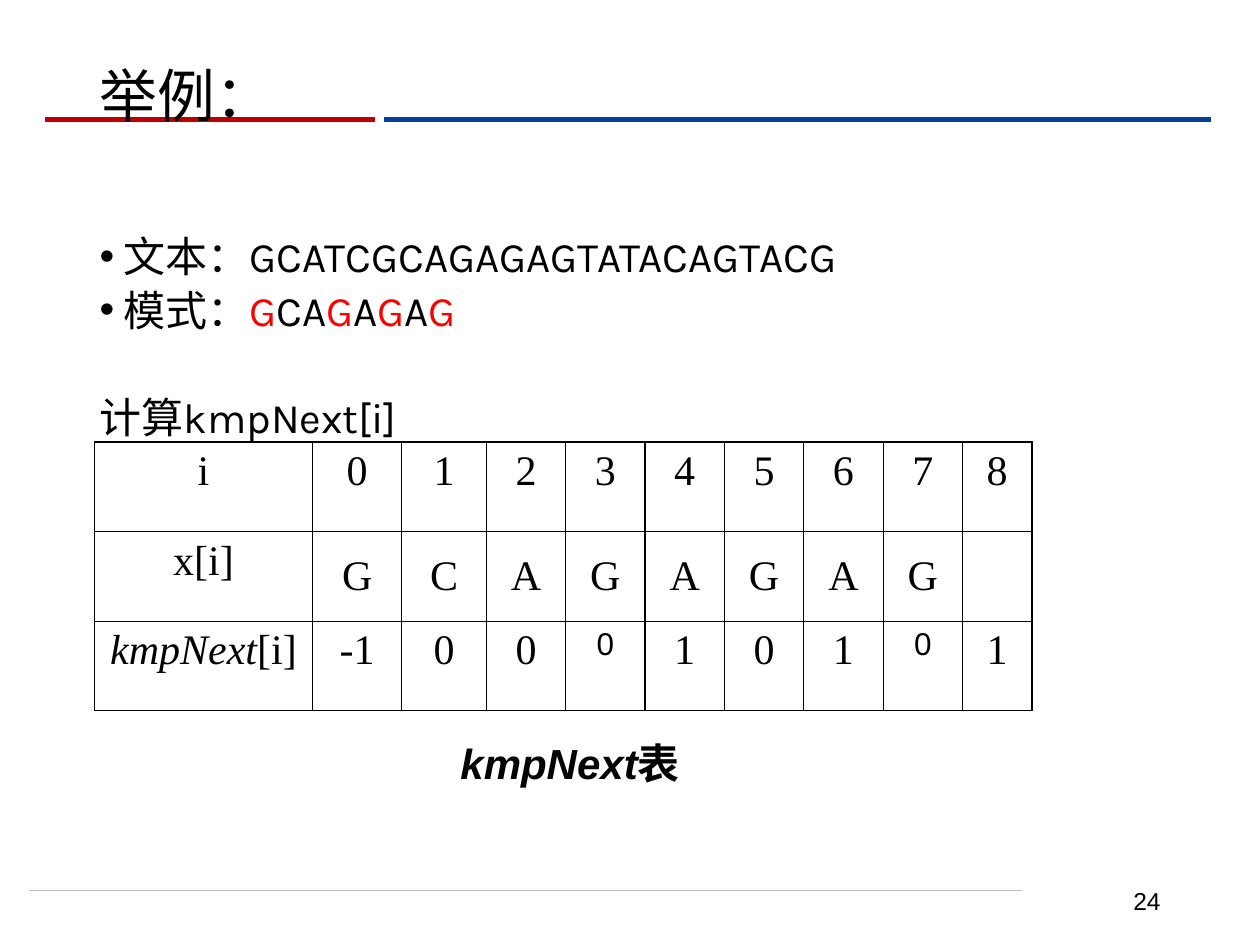
from lxml.etree import SubElement
from pptx import Presentation
from pptx.dml.color import RGBColor
from pptx.enum.shapes import MSO_CONNECTOR
from pptx.enum.text import MSO_ANCHOR as Anchor, MSO_AUTO_SIZE as AutoSize, PP_ALIGN as Align
from pptx.oxml.ns import qn
from pptx.util import Inches, Pt

COLORS = {"ink": "000000", "red": "C00000", "blue": "004299", "grey": "BFBFBF",
          "match": "FF0000", "caption": "030301"}
BODY, SERIF, SANS = "Karla", "Times New Roman", "Arial"
HEADER = ["i", *"012345678"]
PATTERN = ["x[i]", *"GCAGAGAG", ""]
NEXT = ["kmpNext[i]", "-1", *"00010101"]
WIDTHS = [1.73, 0.71, 0.67, *[0.63] * 6, 0.55]
ROW_HEIGHT = 0.71


class SlideBuilder:
    """Holds the style and the current slide, and adds each kind of element."""

    def __init__(self, deck):
        self.slide = deck.slides.add_slide(deck.slide_layouts[1])
        self.shapes = self.slide.shapes
        self.line_count = 0

    def run(self, para, text, size=24, font=BODY, color="ink", bold=False, italic=False):
        span = para.add_run()
        span.text = text
        span.font.size = Pt(size)
        span.font.name = font
        span.font.bold = bold
        span.font.italic = italic
        span.font.color.rgb = RGBColor.from_string(COLORS[color])

    def line(self, left, right, top, color, width):
        line = self.shapes.add_connector(MSO_CONNECTOR.STRAIGHT, Inches(left), Inches(top),
                                         Inches(right), Inches(top))
        line.line.color.rgb = RGBColor.from_string(COLORS[color])
        line.line.width = Pt(width)
        SubElement(line._element.spPr, qn("a:effectLst"))
        self.shapes._spTree.insert(2 + self.line_count, line._element)
        self.line_count += 1

    def place(self, shape, left, top, width, height, anchor):
        shape.left, shape.top = Inches(left), Inches(top)
        shape.width, shape.height = Inches(width), Inches(height)
        frame = shape.text_frame
        frame.word_wrap = True
        frame.auto_size = AutoSize.NONE
        frame.vertical_anchor = anchor
        return frame

    def title(self, text, *bounds):
        para = self.place(self.shapes.title, *bounds, Anchor.MIDDLE).paragraphs[0]
        para.alignment = Align.LEFT
        para.line_spacing = 0.9
        self.run(para, text, size=33)

    def body(self, items, *bounds):
        frame = self.place(self.slide.placeholders[1], *bounds, Anchor.TOP)
        for index, (bullet, before, spans) in enumerate(items):
            para = frame.add_paragraph() if index else frame.paragraphs[0]
            properties = para._p.get_or_add_pPr()
            properties.set("marL", str(Inches(0.19)))
            properties.set("indent", str(-Inches(0.19)))
            if bullet:
                SubElement(properties, qn("a:buFont"), typeface=SANS)
                SubElement(properties, qn("a:buChar"), char="•")
            else:
                SubElement(properties, qn("a:buNone"))
            para.line_spacing = 0.8
            para.space_before = Pt(before)
            for text, color in spans:
                self.run(para, text, color=color)

    def text(self, spans, *bounds, align):
        box = self.shapes.add_textbox(0, 0, 0, 0)
        para = self.place(box, *bounds, Anchor.MIDDLE).paragraphs[0]
        para.alignment = align
        for text, style in spans:
            self.run(para, text, font=SANS, **style)

    def borders(self, cell, outer):
        properties = cell._tc.get_or_add_tcPr()
        for side in "LRTB":
            width = Pt(1 if side in outer else 0.75)
            border = SubElement(properties, qn(f"a:ln{side}"), w=str(width))
            fill = SubElement(border, qn("a:solidFill"))
            SubElement(fill, qn("a:srgbClr"), val=COLORS["ink"])

    def table(self, rows, left, top):
        table = self.shapes.add_table(len(rows), len(WIDTHS), Inches(left), Inches(top),
                                      Inches(sum(WIDTHS)),
                                      Inches(ROW_HEIGHT * len(rows))).table
        table.first_row = table.horz_banding = False
        for column, width in zip(table.columns, WIDTHS):
            column.width = Inches(width)
        last_row, last_column = len(rows) - 1, len(WIDTHS) - 1
        for r, values in enumerate(rows):
            table.rows[r].height = Inches(ROW_HEIGHT)
            for c, value in enumerate(values):
                cell = table.cell(r, c)
                edges = {"L": c == 0, "R": c == last_column, "T": r == 0, "B": r == last_row}
                self.borders(cell, [side for side, is_outer in edges.items() if is_outer])
                cell.fill.background()
                if r == 1 and c:
                    cell.vertical_anchor = Anchor.MIDDLE
                self.cell_text(cell, value, small=r == last_row and c in (4, 8))

    def cell_text(self, cell, value, small):
        para = cell.text_frame.paragraphs[0]
        para.alignment = Align.CENTER
        if value.startswith("kmpNext"):
            self.run(para, "kmpNext", font=SERIF, italic=True)
            self.run(para, "[i]", font=SERIF)
        elif small:
            self.run(para, value, size=18, font=SANS)
        elif value:
            self.run(para, value, font=SERIF)


def main():
    deck = Presentation()
    deck.slide_width, deck.slide_height = Inches(10), Inches(7.5)
    page = SlideBuilder(deck)
    page.line(0.23, 8.11, 7.07, "grey", 0.5)
    page.line(3.05, 9.61, 0.95, "blue", 3)
    page.line(0.36, 2.98, 0.95, "red", 3)
    page.title("举例：", 0.69, 0.06, 8.62, 1.45)
    pattern = [("G", "match"), ("CA", "ink"), ("G", "match"), ("A", "ink"),
               ("G", "match"), ("A", "ink"), ("G", "match")]
    page.body([(True, 0, [("文本：GCATCGCAGAGAGTATACAGTACG", "ink")]),
               (True, 7.5, [("模式：", "ink"), *pattern]),
               (False, 38, [("计算kmpNext[i]", "ink")])], 0.69, 1.86, 8.62, 4.89)
    page.table([HEADER, PATTERN, NEXT], 0.75, 3.51)
    caption = {"color": "caption", "bold": True}
    page.text([("kmpNext", {**caption, "italic": True}), ("表", caption)],
              1.69, 5.8, 5.67, 0.5, align=Align.CENTER)
    page.text([("24", {"size": 14})], 7.06, 6.95, 2.25, 0.4, align=Align.RIGHT)
    deck.save("out.pptx")


if __name__ == "__main__":
    main()
